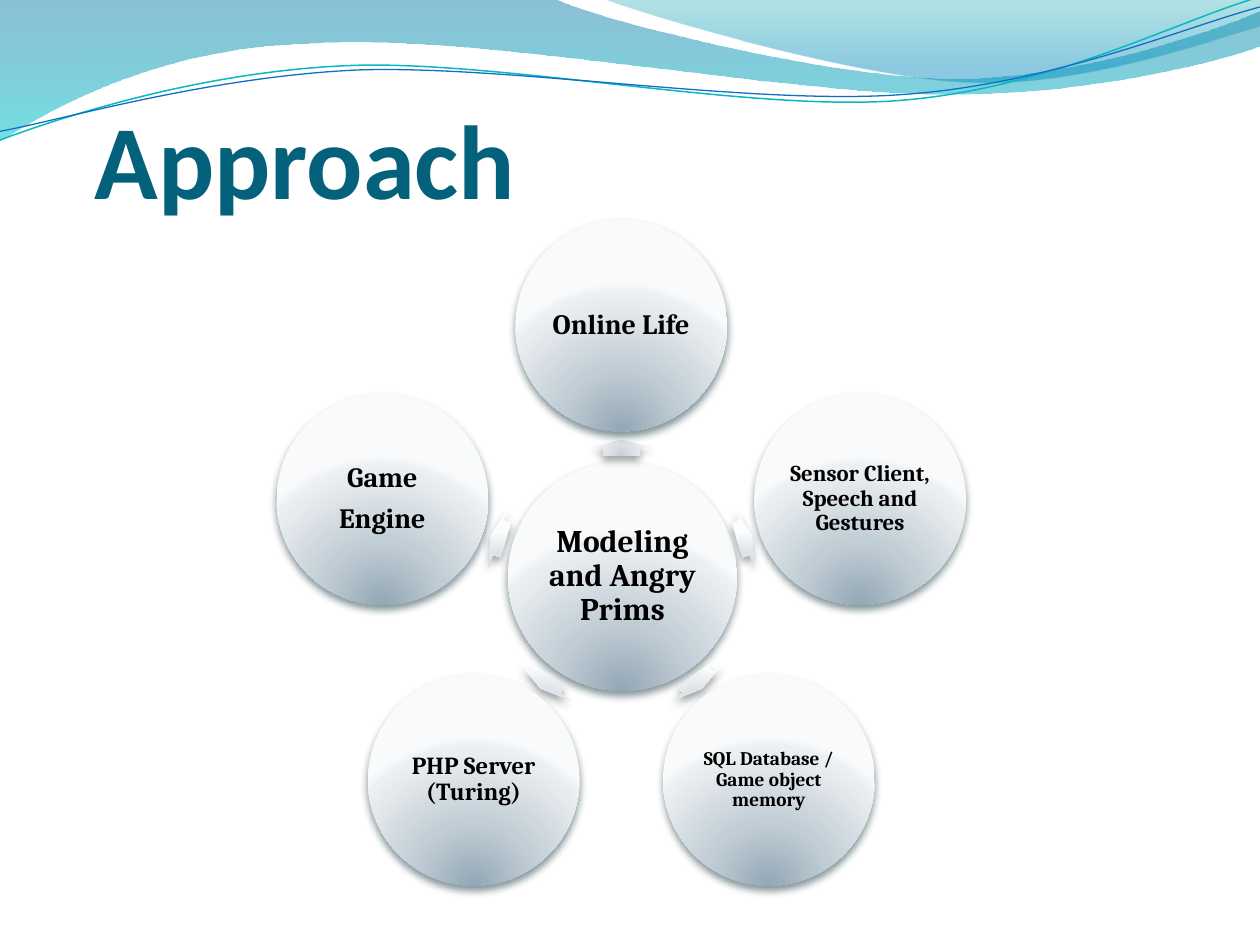
from math import cos, radians, sin

from lxml.etree import SubElement
from pptx import Presentation
from pptx.dml.color import RGBColor
from pptx.enum.shapes import MSO_SHAPE
from pptx.enum.text import MSO_ANCHOR, MSO_AUTO_SIZE, PP_ALIGN
from pptx.oxml.ns import qn
from pptx.util import Pt

# Content
TITLE = "Approach"
HUB = (["Modeling and Angry Prims"], 18, 2)
# Paragraphs, text size, inset; clockwise from the top
SATELLITES = [
    (["Online Life"], 16, 1.5),
    (["Sensor Client, Speech and Gestures"], 13, 0),
    (["SQL Database / Game object memory"], 11, 1.5),
    (["PHP Server (Turing)"], 14, 1.5),
    (["Game", "Engine"], 16, 1.5),
]

# Gradient stops: position, colour, opacity (all in percent)
BALL_STOPS = [(0, "93A7B5", 100), (43, "C2CED6", 100), (93, "EDF0F2", 100), (100, "F9FAFB", 100)]
ARROW_STOPS = [(0, "C8D0D6", 100), (43, "DDE3E8", 100), (93, "F4F6F7", 100), (100, "FBFCFD", 100)]

# Header outlines: a pair is a corner, six numbers are a Bezier segment
BANDS = [
    ([(0, 0), (317, -0.7), (343, 12, 478, 45, 546, 45), (614, 45, 690, 19, 720, 6.5),
      (721, 26), (708, 32, 626, 55, 537, 54), (448, 54, 275, 20, 185, 24.5),
      (93, 26, 33, 60, -0.7, 81)],
     [(0, "0074A1", 45), (100, "00C6CF", 55)]),
    ([(345, -0.7), (366, 8, 491, 45, 554, 47), (616, 50, 692, 23, 720, 15), (720, 0)],
     [(0, "00A1A9", 30), (80, "008BBF", 45)]),
]
WAVES = [
    ([(0, 80), (35, 67, 114, 41, 199, 37.5), (284, 34, 427, 64, 513, 57.5),
      (600, 51, 675, 11, 719, -1.5)], "0AB8BF", 0.85),
    ([(0, 75), (34, 69, 118, 44, 204, 40), (290, 37, 430, 60.5, 516, 54),
      (602, 48, 678, 15, 720, 4)], "0F6FC6", 0.75),
]

# Geometry of the wheel
HUB_CENTER, HUB_SIZE = (355.7, 329.2), 131
BALL_CENTER, BALL_RING, BALL_SIZE = (355, 329.5), 143.5, 121
ARROW_CENTER, ARROW_RING = (355.1, 330), 74
ARROW_WIDTH, ARROW_HEIGHT = 9, 35


def color(hex_value):
    return RGBColor.from_string(hex_value)


def add_color(parent, hex_value, opacity):
    node = SubElement(parent, qn("a:srgbClr"), val=hex_value)
    if opacity < 100:
        SubElement(node, qn("a:alpha"), val=str(opacity * 1000))


def set_gradient(shape, stops, radial):
    shape.fill.background()
    properties = shape.element.spPr
    gradient = SubElement(properties, qn("a:gradFill"), rotWithShape="1")
    stop_list = SubElement(gradient, qn("a:gsLst"))
    for position, hex_value, opacity in stops:
        stop = SubElement(stop_list, qn("a:gs"), pos=str(position * 1000))
        add_color(stop, hex_value, opacity)
    if radial:
        focus = SubElement(gradient, qn("a:path"))
        focus.set("path", "circle")
        SubElement(focus, qn("a:fillToRect"), l="50000", t="130000", r="50000", b="-30000")
    else:
        SubElement(gradient, qn("a:lin"), ang="5400000", scaled="1")
    properties.replace(properties.find(qn("a:noFill")), gradient)


def set_shadow(shape, hex_value):
    shape.shadow.inherit = False
    effects = shape.element.spPr.find(qn("a:effectLst"))
    shadow = SubElement(effects, qn("a:outerShdw"), blurRad=str(Pt(4.5)), dist=str(Pt(3)),
                        dir="5400000", rotWithShape="0")
    add_color(shadow, hex_value, 48)


def add_outline(slide, outline, close):
    # Build through the corners, then bend the Bezier segments
    corners = [(Pt(part[-2]), Pt(part[-1])) for part in outline]
    builder = slide.shapes.build_freeform(*corners[0])
    builder.add_line_segments(corners[1:], close=close)
    shape = builder.convert_to_shape()
    shape.shadow.inherit = False
    segments = list(shape.element.iter(qn("a:lnTo")))
    for part, segment in zip(outline[1:], segments):
        if len(part) == 6:
            curve = SubElement(segment.getparent(), qn("a:cubicBezTo"))
            for x, y in zip(part[::2], part[1::2]):
                SubElement(curve, qn("a:pt"), x=str(Pt(x) - shape.left), y=str(Pt(y) - shape.top))
            segment.getparent().replace(segment, curve)
    return shape


def bounds(center, width, height):
    return [Pt(center[0] - width / 2), Pt(center[1] - height / 2), Pt(width), Pt(height)]


def add_glossy(slide, kind, place, stops, shadow):
    shape = slide.shapes.add_shape(kind, *place)
    set_gradient(shape, stops, radial=True)
    shape.line.fill.background()
    set_shadow(shape, shadow)
    return shape


def add_ball(slide, center, size, content):
    lines, text_size, inset = content
    add_glossy(slide, MSO_SHAPE.OVAL, bounds(center, size, size), BALL_STOPS, "00232C")
    # The label fills the square inscribed in the ball
    side = size * sin(radians(45))
    frame = slide.shapes.add_textbox(*bounds(center, side, side)).text_frame
    frame.word_wrap = True
    frame.vertical_anchor = MSO_ANCHOR.MIDDLE
    frame.margin_left = frame.margin_right = Pt(inset)
    frame.margin_top = frame.margin_bottom = Pt(inset)
    frame.text = "\n".join(lines)
    for para in frame.paragraphs:
        para.alignment = PP_ALIGN.CENTER
        para.line_spacing = 0.9
        para.space_after = Pt(0.35 * text_size)
        format_span(para.runs[0], "Cambria", text_size, "000000")


def format_span(span, name, size, hex_value):
    span.font.name = name
    span.font.size = Pt(size)
    span.font.bold = True
    span.font.color.rgb = color(hex_value)


def on_ring(center, radius, angle):
    return (center[0] + radius * cos(radians(angle)), center[1] + radius * sin(radians(angle)))


def main():
    deck = Presentation()
    deck.slide_width, deck.slide_height = Pt(720), Pt(540)
    slide = deck.slides.add_slide(deck.slide_layouts[5])

    # Header waves
    for outline, stops in BANDS:
        band = add_outline(slide, outline, close=True)
        set_gradient(band, stops, radial=False)
        band.line.fill.background()
    for outline, hex_value, width in WAVES:
        wave = add_outline(slide, outline, close=False)
        wave.fill.background()
        wave.line.color.rgb = color(hex_value)
        wave.line.width = Pt(width)

    # Title
    title = slide.shapes.title
    title.left, title.top, title.width, title.height = Pt(54), Pt(36), Pt(606), Pt(90)
    frame = title.text_frame
    frame.text = TITLE
    frame.auto_size = MSO_AUTO_SIZE.NONE
    frame.vertical_anchor = MSO_ANCHOR.BOTTOM
    frame.margin_left = frame.margin_right = frame.margin_bottom = 0
    frame.paragraphs[0].alignment = PP_ALIGN.LEFT
    format_span(frame.paragraphs[0].runs[0], "Calibri", 60, "04617B")

    # Hub, then an arrow and a ball for each satellite
    add_ball(slide, HUB_CENTER, HUB_SIZE, HUB)
    for index, content in enumerate(SATELLITES):
        angle = -90 + index * 360 / len(SATELLITES)
        place = bounds(on_ring(ARROW_CENTER, ARROW_RING, angle), ARROW_WIDTH, ARROW_HEIGHT)
        arrow = add_glossy(slide, MSO_SHAPE.RIGHT_ARROW, place, ARROW_STOPS, "3C4043")
        arrow.adjustments[0], arrow.adjustments[1] = 0.6, 0.5
        arrow.rotation = angle
        add_ball(slide, on_ring(BALL_CENTER, BALL_RING, angle), BALL_SIZE, content)

    deck.save("out.pptx")


if __name__ == "__main__":
    main()
